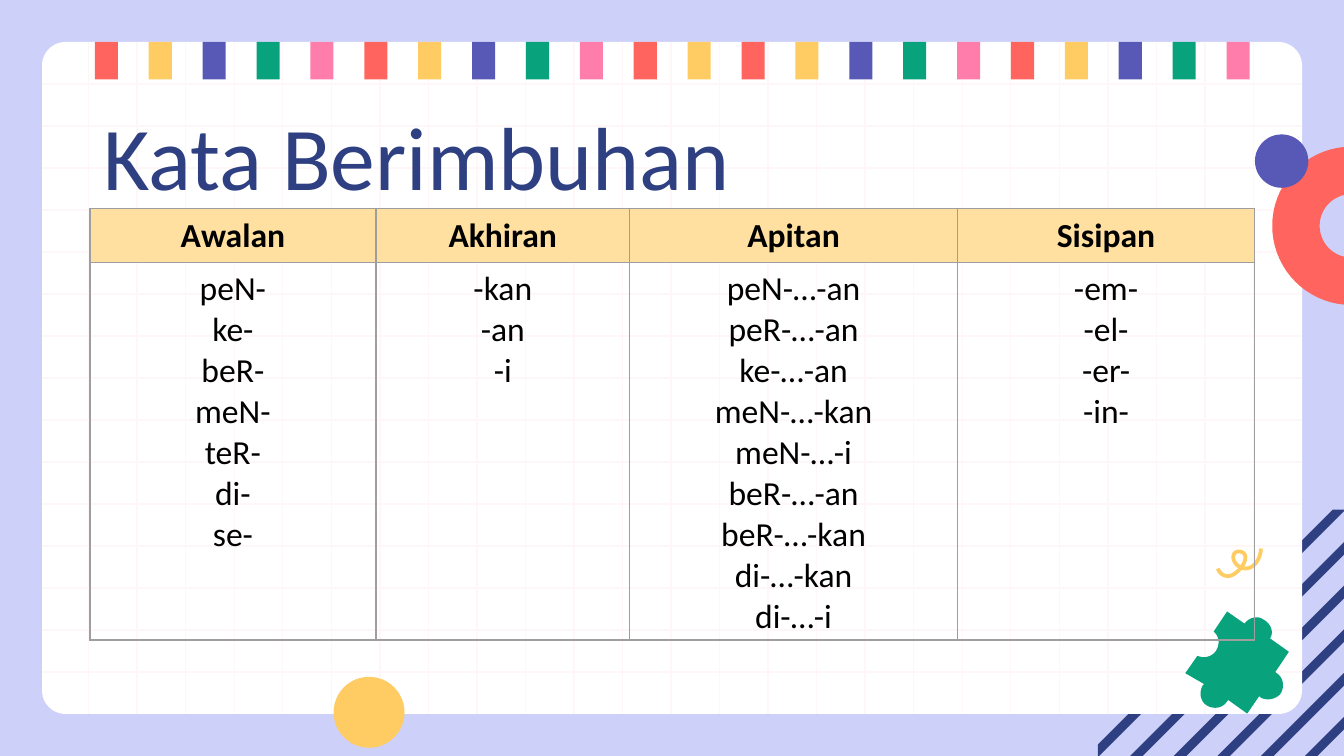
from math import cos, radians, sin

from lxml.etree import SubElement
from pptx import Presentation
from pptx.dml.color import RGBColor
from pptx.enum.shapes import MSO_CONNECTOR as Connector, MSO_SHAPE as Shape
from pptx.enum.text import MSO_ANCHOR as Anchor, PP_ALIGN as Align
from pptx.oxml.ns import qn
from pptx.util import Pt

WIDTH, HEIGHT = 720, 405
RED, YELLOW, INDIGO, GREEN, PINK = "FF645E", "FFCC63", "5859B6", "08A37C", "FF7DAB"
PALETTE = [RED, YELLOW, INDIGO, GREEN, PINK]
LAVENDER, NAVY, WHITE, GRID = "CDD1F9", "2E4081", "FFFFFF", "FFF7F7"
CREAM, BORDER, BLACK = "FFE0A1", "9E9E9E", "000000"

AFFIXES = {
    "Awalan": ["peN-", "ke-", "beR-", "meN-", "teR-", "di-", "se-"],
    "Akhiran": ["-kan", "-an", "-i"],
    "Apitan": ["peN-…-an", "peR-…-an", "ke-…-an", "meN-…-kan", "meN-…-i",
               "beR-…-an", "beR-…-kan", "di-…-kan", "di-…-i"],
    "Sisipan": ["-em-", "-el-", "-er-", "-in-"],
}

# Two numbers are a straight step; six are a Bézier curve.
PUZZLE = [
    (676.8, 331.9), (673.9, 329.8, 669.6, 330.5, 666.7, 334.1),
    (657.4, 327.6), (650.2, 338.4),
    (653, 340.6, 653.8, 344.9, 651.6, 348.5),
    (649.4, 352.1, 645.1, 352.8, 641.5, 351.4),
    (635, 360.7), (645.1, 366.5), (644.4, 367.2),
    (642.2, 370.8, 643, 375.8, 646.6, 378),
    (650.2, 380.2, 655.2, 379.4, 657.4, 375.8),
    (658.1, 375.1), (668.2, 382.3), (674.6, 373), (675.4, 373.7),
    (679, 375.8, 684, 374.4, 686.2, 371.5),
    (688.3, 367.9, 687.6, 362.9, 684, 360.7),
    (683.3, 360), (690.5, 349.2), (680.4, 342),
    (682.6, 339.1, 681.1, 334.1, 676.8, 331.9),
]
SQUIGGLE = [
    (652.4, 304.6), (653.5, 307.6, 656, 308.8, 658.2, 308.7),
    (661, 308.6, 667.2, 303.5, 667.2, 298.6),
    (667.2, 296.8, 665.8, 295.5, 663.6, 295.5),
    (661.2, 295.5, 660.4, 297.5, 660.8, 299.5),
    (661.5, 302.8, 665, 304.6, 667.4, 304.6),
    (672, 304.6, 675.5, 299, 675.5, 293.9),
]


def rgb(code):
    return RGBColor.from_string(code)


def trace(path, steps=10):
    """Turn a path with Bézier curves into a list of points."""
    points = [path[0]]
    for step in path[1:]:
        if len(step) == 2:
            points.append(step)
            continue
        (x0, y0), (x1, y1, x2, y2, x3, y3) = points[-1], step
        for i in range(1, steps + 1):
            t = i / steps
            a, b, c, d = (1 - t)**3, 3 * t * (1 - t)**2, 3 * t * t * (1 - t), t**3
            points.append((a * x0 + b * x1 + c * x2 + d * x3,
                           a * y0 + b * y1 + c * y2 + d * y3))
    return points


def arc(x, y, radius, angles):
    return [(x + radius * cos(radians(a)), y + radius * sin(radians(a))) for a in angles]


def diagonal_band(start, thickness, left, top):
    """Outline of a 45° band, cut off by the bottom right corner area."""
    def ends(total):
        right, low = min(WIDTH, total - top), max(left, total - HEIGHT)
        return (right, total - right), (low, total - low)

    upper, lower = ends(start)
    far_upper, far_lower = ends(start + thickness)
    return [upper, lower, (lower[0], far_lower[1]), far_lower,
            far_upper, (far_upper[0], upper[1])]


def write(frame, lines, size=18, color=BLACK, bold=False, align=Align.LEFT, font="Calibri"):
    for i, line in enumerate(lines):
        paragraph = frame.paragraphs[0] if i == 0 else frame.add_paragraph()
        paragraph.alignment = align
        run = paragraph.add_run()
        run.text = line
        run.font.name, run.font.size, run.font.bold = font, Pt(size), bold
        run.font.color.rgb = rgb(color)


class Canvas:
    def __init__(self, slide, background):
        self.slide, self.shapes = slide, slide.shapes
        slide.background.fill.solid()
        slide.background.fill.fore_color.rgb = rgb(background)

    def paint(self, shape, fill):
        shape.shadow.inherit = False
        shape.fill.solid()
        shape.fill.fore_color.rgb = rgb(fill)
        shape.line.fill.background()

    def block(self, kind, x, y, w, h, fill):
        shape = self.shapes.add_shape(kind, Pt(x), Pt(y), Pt(w), Pt(h))
        self.paint(shape, fill)
        return shape

    def outline(self, points, close=True):
        (x, y), *rest = [(Pt(px), Pt(py)) for px, py in points]
        builder = self.shapes.build_freeform(x, y)
        builder.add_line_segments(rest, close=close)
        return builder.convert_to_shape()

    def polygon(self, points, fill):
        self.paint(self.outline(points), fill)

    def stroke(self, points, color, width):
        shape = self.outline(points, close=False)
        shape.shadow.inherit = False
        shape.fill.background()
        shape.line.color.rgb, shape.line.width = rgb(color), Pt(width)

    def line(self, x1, y1, x2, y2, color, width=0.75):
        line = self.shapes.add_connector(Connector.STRAIGHT, Pt(x1), Pt(y1), Pt(x2), Pt(y2))
        line.line.color.rgb, line.line.width = rgb(color), Pt(width)
        SubElement(line._element.spPr, qn("a:effectLst"))

    def text(self, x, y, w, h, content, **style):
        frame = self.shapes.add_textbox(Pt(x), Pt(y), Pt(w), Pt(h)).text_frame
        frame.word_wrap, frame.vertical_anchor = True, Anchor.TOP
        frame.margin_left = frame.margin_right = Pt(7.2)
        frame.margin_top = frame.margin_bottom = Pt(7.2)
        write(frame, [content], **style)

    def cell(self, cell, lines, fill=None, **style):
        properties = cell._tc.get_or_add_tcPr()
        for side in ("lnL", "lnR", "lnT", "lnB"):
            edge = SubElement(properties, qn(f"a:{side}"), w=str(Pt(0.75)))
            SubElement(SubElement(edge, qn("a:solidFill")), qn("a:srgbClr"), val=BORDER)
        if fill:
            cell.fill.solid()
            cell.fill.fore_color.rgb = rgb(fill)
        else:
            cell.fill.background()
        write(cell.text_frame, lines, align=Align.CENTER, **style)

    def table(self, x, y, widths, heights, columns):
        table = self.shapes.add_table(2, len(columns), Pt(x), Pt(y),
                                      Pt(sum(widths)), Pt(sum(heights))).table
        table.first_row = table.horz_banding = False
        for row, height in zip(table.rows, heights):
            row.height = Pt(height)
        for i, (heading, entries) in enumerate(columns.items()):
            table.columns[i].width = Pt(widths[i])
            self.cell(table.cell(0, i), [heading], fill=CREAM, bold=True)
            self.cell(table.cell(1, i), entries)


def main():
    deck = Presentation()
    deck.slide_width, deck.slide_height = Pt(WIDTH), Pt(HEIGHT)
    canvas = Canvas(deck.slides.add_slide(deck.slide_layouts[6]), LAVENDER)

    for i in range(7):
        canvas.polygon(diagonal_band(1104 - 23.4 * i, 6.8, left=588.2, top=273), NAVY)

    edge, card_w, card_h = 22.5, 675, 360
    card = canvas.block(Shape.ROUNDED_RECTANGLE, edge, edge, card_w, card_h, WHITE)
    card.adjustments[0] = 0.035
    for i in range(1, 16):
        canvas.line(edge, edge + 22.5 * i, edge + card_w, edge + 22.5 * i, GRID)
    for i in range(25):
        canvas.line(47.5 + 26 * i, edge, 47.5 + 26 * i, edge + card_h, GRID)

    for i, color in enumerate(PALETTE * 2 + [RED, YELLOW] + PALETTE * 2):
        canvas.block(Shape.RECTANGLE, 50.8 + 28.87 * i, edge, 12.4, 20, color)

    half_turn = range(90, 271, 5)
    canvas.polygon(arc(724, 121, 42.4, half_turn) + arc(724, 121, 17, reversed(half_turn)), RED)
    canvas.block(Shape.OVAL, 178.7, 362.6, 38, 38, YELLOW)
    canvas.block(Shape.OVAL, 672.3, 72, 28.6, 28.6, INDIGO)
    canvas.polygon(trace(PUZZLE), GREEN)
    canvas.stroke(trace(SQUIGGLE), YELLOW, 2)

    canvas.text(48.2, 46.8, 607, 45.4, "Kata Berimbuhan", size=48, color=NAVY)
    canvas.table(48.2, 111.6, [153.2, 136, 175.6, 159.2], [28, 202.4], AFFIXES)

    deck.save("out.pptx")


if __name__ == "__main__":
    main()
